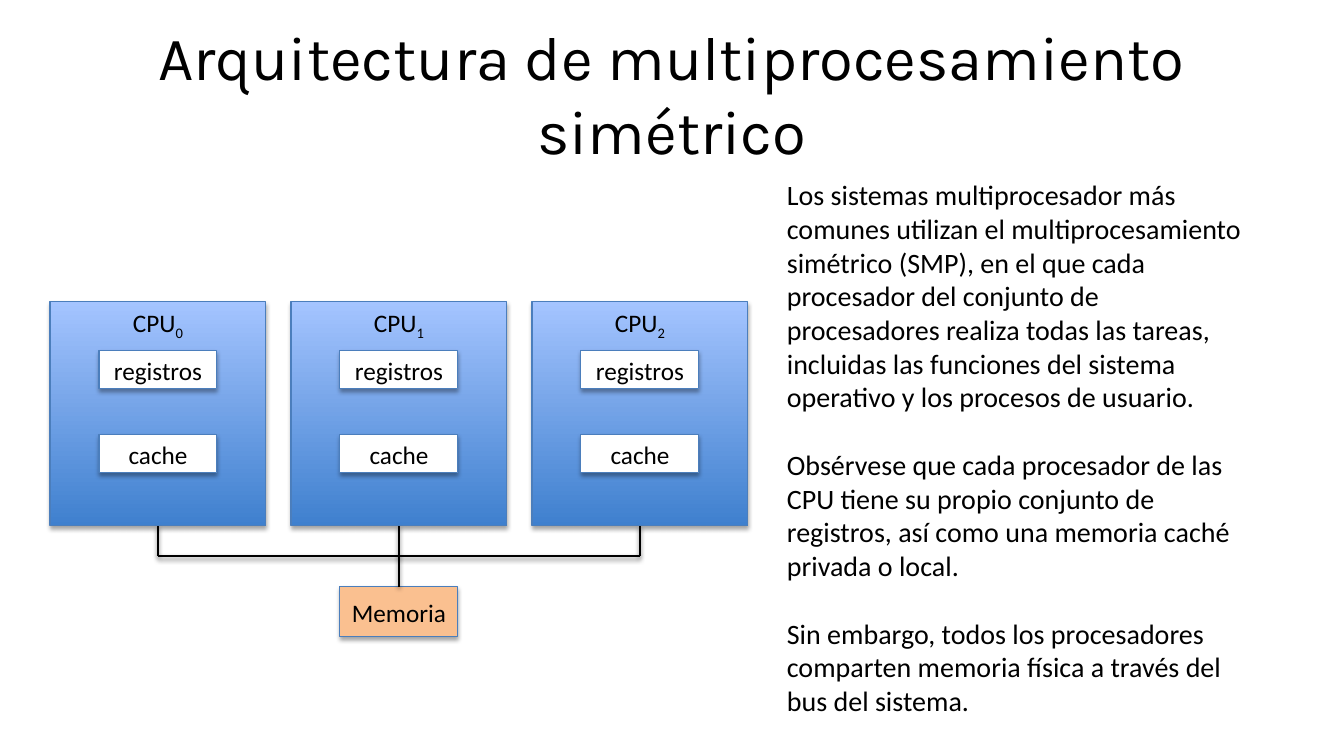
"""Builds the slide on symmetric multiprocessing architecture."""
from lxml.etree import SubElement
from pptx import Presentation
from pptx.dml.color import RGBColor
from pptx.enum.shapes import MSO_CONNECTOR as Connector, MSO_SHAPE as Preset
from pptx.enum.text import MSO_ANCHOR as Anchor, PP_ALIGN as Align
from pptx.oxml.ns import qn
from pptx.util import Emu, Pt

PX_PER_INCH = 100.8
BLACK = "000000"
CPU_COUNT, CPU_PITCH = 3, 241
CPU_LEFT, CPU_TOP, CPU_WIDTH, CPU_HEIGHT = 50, 302, 216, 224
UNIT_WIDTH, UNIT_HEIGHT = 118, 38
UNIT_TOPS = {"registros": 351, "cache": 435}
BUS_Y, MEMORY_TOP, MEMORY_HEIGHT = 556, 587, 50

TITLE = "Arquitectura de multiprocesamiento simétrico"
EXPLANATION = [
    "Los sistemas multiprocesador más comunes utilizan el multiprocesamiento "
    "simétrico (SMP), en el que cada procesador del conjunto de procesadores "
    "realiza todas las tareas, incluidas las funciones del sistema operativo "
    "y los procesos de usuario.",
    "Obsérvese que cada procesador de las CPU tiene su propio conjunto de "
    "registros, así como una memoria caché privada o local.",
    "Sin embargo, todos los procesadores comparten memoria física a través "
    "del bus del sistema.",
]


def px(length):
    return Emu(round(length * 914400 / PX_PER_INCH))


def color(code):
    return RGBColor.from_string(code)


def write(shape, paragraphs, size=18, font="Calibri", align=Align.CENTER,
          anchor=Anchor.MIDDLE, gap=0, subscript=""):
    frame = shape.text_frame
    frame.word_wrap = True
    frame.vertical_anchor = anchor
    for index, text in enumerate(paragraphs):
        paragraph = frame.add_paragraph() if index else frame.paragraphs[0]
        paragraph.alignment = align
        if index:
            paragraph.space_before = Pt(gap)
        for part in filter(None, (text, subscript)):
            run = paragraph.add_run()
            run.text = part
            run.font.size = Pt(size)
            run.font.name = font
            run.font.color.rgb = color(BLACK)
        if subscript:
            run.font._element.set("baseline", "-25000")


def cast_shadow(shape, distance, opacity):
    effects = SubElement(shape._element.spPr, qn("a:effectLst"))
    shadow = SubElement(effects, qn("a:outerShdw"), blurRad="40000",
                        dist=str(distance), dir="5400000", rotWithShape="0")
    tint = SubElement(shadow, qn("a:srgbClr"), val=BLACK)
    SubElement(tint, qn("a:alpha"), val=str(opacity * 1000))


def add_text(slide, left, top, width, height, paragraphs, **style):
    box = slide.shapes.add_textbox(px(left), px(top), px(width), px(height))
    write(box, paragraphs, **style)


def add_block(slide, left, top, width, height, label, fills, **style):
    block = slide.shapes.add_shape(
        Preset.RECTANGLE, px(left), px(top), px(width), px(height))
    if len(fills) > 1:
        block.fill.gradient()
        block.fill.gradient_angle = 90
        for stop, code in zip(block.fill.gradient_stops, fills):
            stop.color.rgb = color(code)
    else:
        block.fill.solid()
        block.fill.fore_color.rgb = color(fills[0])
    block.line.color.rgb = color("4B7EBC")
    block.line.width = Pt(0.75)
    cast_shadow(block, distance=23000, opacity=35)
    write(block, [label], **style)
    return block


def add_wire(slide, x1, y1, x2, y2):
    wire = slide.shapes.add_connector(
        Connector.STRAIGHT, px(x1), px(y1), px(x2), px(y2))
    wire.line.color.rgb = color(BLACK)
    wire.line.width = Pt(2)
    cast_shadow(wire, distance=20000, opacity=38)
    return wire


def add_cpu(slide, number):
    left = CPU_LEFT + number * CPU_PITCH
    cpu = add_block(slide, left, CPU_TOP, CPU_WIDTH, CPU_HEIGHT, "CPU",
                    ["3F80CE", "A4C4FF"], anchor=Anchor.TOP,
                    subscript=str(number))
    for label, top in UNIT_TOPS.items():
        add_block(slide, left + (CPU_WIDTH - UNIT_WIDTH) // 2, top,
                  UNIT_WIDTH, UNIT_HEIGHT, label, ["FFFFFF"])
    return cpu


def add_diagram(slide):
    cpus = [add_cpu(slide, number) for number in range(CPU_COUNT)]
    centers = [CPU_LEFT + CPU_WIDTH // 2 + number * CPU_PITCH
               for number in range(CPU_COUNT)]
    middle = centers[CPU_COUNT // 2]
    memory = add_block(slide, middle - UNIT_WIDTH // 2, MEMORY_TOP,
                       UNIT_WIDTH, MEMORY_HEIGHT, "Memoria", ["FAC090"])
    add_wire(slide, centers[0], BUS_Y, centers[-1], BUS_Y)
    for cpu, center in zip(cpus, centers):
        link = add_wire(slide, center, BUS_Y, center, CPU_TOP + CPU_HEIGHT)
        link.end_connect(cpu, 2)
    link = add_wire(slide, middle, MEMORY_TOP, middle, BUS_Y)
    link.begin_connect(memory, 0)


def main():
    deck = Presentation()
    deck.slide_width, deck.slide_height = px(1344), px(756)
    slide = deck.slides.add_slide(deck.slide_layouts[6])
    add_text(slide, 67, 30, 1210, 126, [TITLE], size=44, font="Karla")
    add_diagram(slide)
    add_text(slide, 777, 173, 479, 553, EXPLANATION, size=20,
             align=Align.LEFT, anchor=Anchor.TOP, gap=24.4)
    deck.save("out.pptx")


if __name__ == "__main__":
    main()
